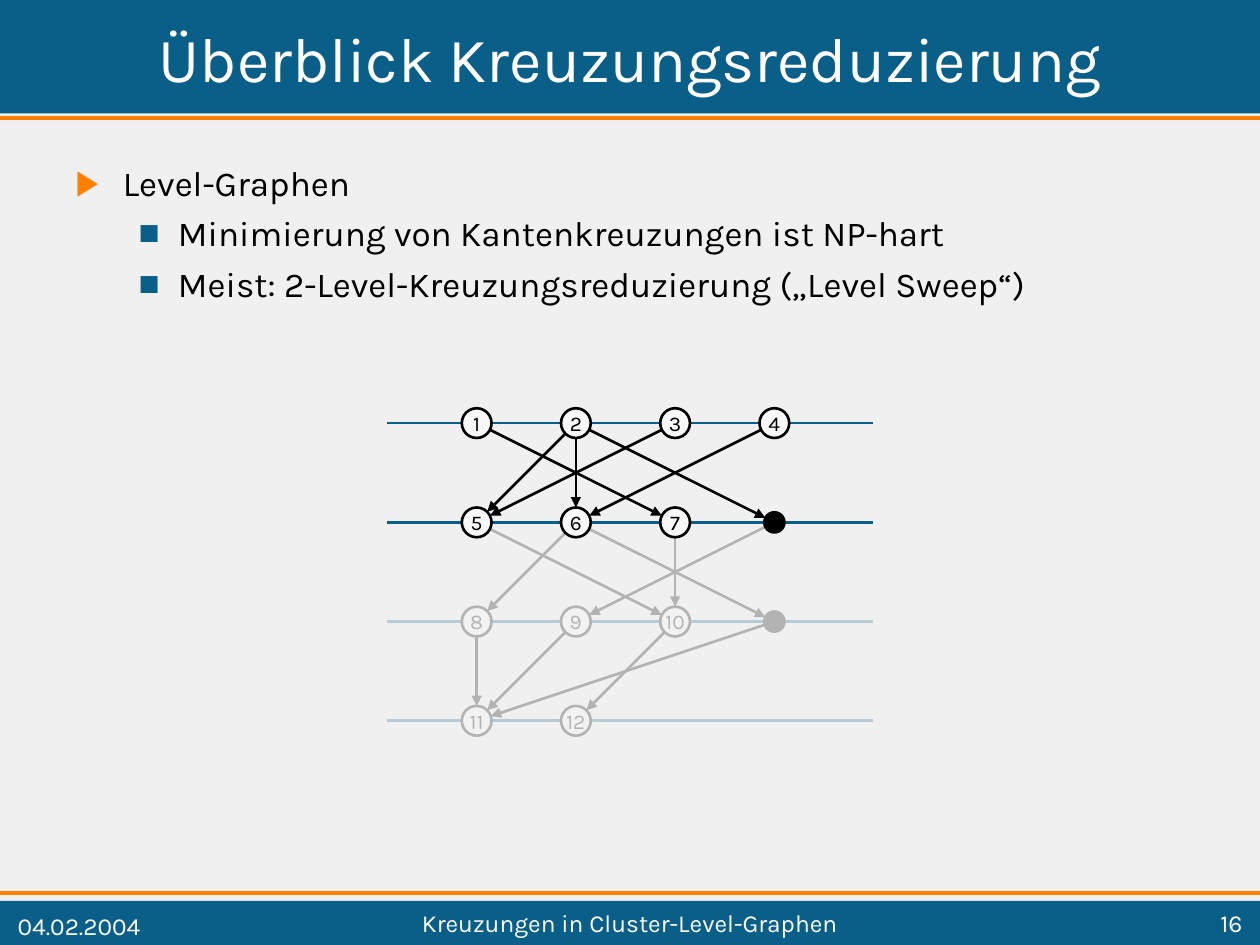
import math
from pptx import Presentation
from pptx import util as u
from pptx.dml import color as c
from pptx.enum import shapes, text
from pptx.oxml.xmlchemy import OxmlElement

FONT = "Karla"
BLUE, ORANGE, BLACK, WHITE, GREY = "0A5F89", "FF7F00", "000000", "FFFFFF", "F0F0F0"


def paint(target, value):
    if hasattr(target, "solid"):
        target.solid()
        target.fore_color.rgb = c.RGBColor.from_string(value)
    else:
        target.rgb = c.RGBColor.from_string(value)


def draw_line(start, end, value, width, arrow=False):
    line = page.shapes.add_connector(
        shapes.MSO_CONNECTOR.STRAIGHT, *[u.Pt(round(n, 2)) for n in (*start, *end)])
    paint(line.line.fill, value)
    line.line.width = u.Pt(width)
    properties = line.element.spPr
    if arrow:
        head = OxmlElement("a:headEnd")
        head.set("type", "triangle")
        line.line.fill
        properties.find("{*}ln").append(head)
    properties.append(OxmlElement("a:effectLst"))


deck = Presentation()
deck.slide_width, deck.slide_height = u.Pt(720), u.Pt(540)
page = deck.slides.add_slide(deck.slide_layouts[1])
paint(page.background.fill, GREY)

for top, height, rule in [(0, 64.8, 67.7), (514.8, 25.2, 510.5)]:
    bar = page.shapes.add_shape(
        shapes.MSO_SHAPE.RECTANGLE, 0, u.Pt(top), u.Pt(720), u.Pt(height))
    bar.shadow.inherit = False
    paint(bar.fill, BLUE)
    bar.line.fill.background()
    draw_line((0, rule), (720, rule), ORANGE, 2.25)

LEFT, TOP, STEP = 272.4, 241.8, 56.7
NODE_RADIUS, DUMMY_RADIUS = 8.5, 5.75
levels = [
    ["1", "2", "3", "4"],
    ["5", "6", "7", "dummy 1"],
    ["8", "9", "10", "dummy 2"],
    ["11", "12"],
]
centers = {name: (LEFT + column * STEP, TOP + row * STEP)
           for row, level in enumerate(levels) for column, name in enumerate(level)}
radii = {name: NODE_RADIUS if name.isdigit() else DUMMY_RADIUS for name in centers}
upper_edges = [("3", "5"), ("1", "7"), ("2", "dummy 1"), ("2", "6"), ("2", "5"), ("4", "6")]
lower_edges = [("7", "10"), ("5", "10"), ("6", "8"), ("dummy 1", "9"), ("6", "dummy 2"),
               ("9", "11"), ("8", "11"), ("10", "12"), ("dummy 2", "11")]

for rows, edges, faded in [((2, 3), lower_edges, True), ((0, 1), upper_edges, False)]:
    for row in rows:
        y = TOP + row * STEP
        draw_line((221, y), (499, y), BLUE, 1.5)

    for source, target in edges:
        (x1, y1), (x2, y2) = centers[source], centers[target]
        share = radii[target] / math.dist((x1, y1), (x2, y2))
        tip = (x2 + (x1 - x2) * share, y2 + (y1 - y2) * share)
        draw_line(tip, (x1, y1), BLACK, 1.5, arrow=True)

    for name in [name for row in rows for name in levels[row]]:
        (x, y), radius = centers[name], radii[name]
        node = page.shapes.add_shape(
            shapes.MSO_SHAPE.OVAL, u.Pt(x - radius), u.Pt(y - radius),
            u.Pt(2 * radius), u.Pt(2 * radius))
        node.shadow.inherit = False
        paint(node.fill, "F8F8F8" if name.isdigit() else BLACK)
        paint(node.line.fill, BLACK)
        node.line.width = u.Pt(1.5)
        if name.isdigit():
            node.text_frame.text = name
            node.text_frame.word_wrap = False
            node.text_frame.vertical_anchor = text.MSO_ANCHOR.MIDDLE
            para = node.text_frame.paragraphs[0]
            para.alignment = text.PP_ALIGN.CENTER
            para.font.name, para.font.size = FONT, u.Pt(12)
            paint(para.font.color, BLACK)

    if faded:
        veil = page.shapes.add_shape(
            shapes.MSO_SHAPE.RECTANGLE, u.Pt(218), u.Pt(299), u.Pt(284), u.Pt(124.5))
        veil.shadow.inherit = False
        veil.line.fill.background()
        paint(veil.fill, GREY)
        alpha = OxmlElement("a:alpha")
        alpha.set("val", "75000")
        veil.element.spPr.find("{*}solidFill")[0].append(alpha)

title, body = page.shapes.title, page.placeholders[1]
for placeholder in (title, body):
    placeholder.element.getparent().append(placeholder.element)

title.left, title.top, title.width, title.height = u.Pt(3), u.Pt(3), u.Pt(714), u.Pt(60)
title.text_frame.text = "Überblick Kreuzungsreduzierung"
title.text_frame.auto_size = text.MSO_AUTO_SIZE.NONE
title.text_frame.vertical_anchor = text.MSO_ANCHOR.MIDDLE
para = title.text_frame.paragraphs[0]
para.alignment = text.PP_ALIGN.CENTER
para.font.name, para.font.size = FONT, u.Pt(36)
paint(para.font.color, WHITE)

body.left, body.top, body.width, body.height = u.Pt(36), u.Pt(88.5), u.Pt(648), u.Pt(198.5)
body.text_frame.auto_size = text.MSO_AUTO_SIZE.NONE
items = [
    (0, "Level-Graphen"),
    (1, "Minimierung von Kantenkreuzungen ist NP-hart"),
    (1, "Meist: 2-Level-Kreuzungsreduzierung („Level Sweep“)"),
]
body.text_frame.text = "\n".join(words for level, words in items)
styles = [("▶", ORANGE, 27, 27, 0), ("■", BLUE, 58.5, 22.5, 5)]
for para, (level, words) in zip(body.text_frame.paragraphs, items):
    mark, mark_color, margin, hanging, before = styles[level]
    para.level = level
    properties = para._p.get_or_add_pPr()
    properties.set("marL", str(u.Pt(margin)))
    properties.set("indent", str(-u.Pt(hanging)))
    bullet_color, swatch = OxmlElement("a:buClr"), OxmlElement("a:srgbClr")
    swatch.set("val", mark_color)
    bullet_color.append(swatch)
    bullet = OxmlElement("a:buChar")
    bullet.set("char", mark)
    properties.extend([bullet_color, bullet])
    para.space_before = u.Pt(before)
    para.font.name, para.font.size = FONT, u.Pt(20)
    paint(para.font.color, BLACK)

footers = [
    ("Kreuzungen in Cluster-Level-Graphen", 93.5, 533, 20, text.PP_ALIGN.CENTER),
    ("16", 632, 85, 20, text.PP_ALIGN.RIGHT),
    ("04.02.2004", 3, 114, 22.5, text.PP_ALIGN.LEFT),
]
for words, left, width, height, alignment in footers:
    box = page.shapes.add_textbox(u.Pt(left), u.Pt(517.5), u.Pt(width), u.Pt(height))
    box.text_frame.word_wrap = True
    box.text_frame.vertical_anchor = text.MSO_ANCHOR.MIDDLE
    box.text_frame.text = words
    para = box.text_frame.paragraphs[0]
    para.alignment = alignment
    para.font.name, para.font.size = FONT, u.Pt(14)
    paint(para.font.color, WHITE)

deck.save("out.pptx")
